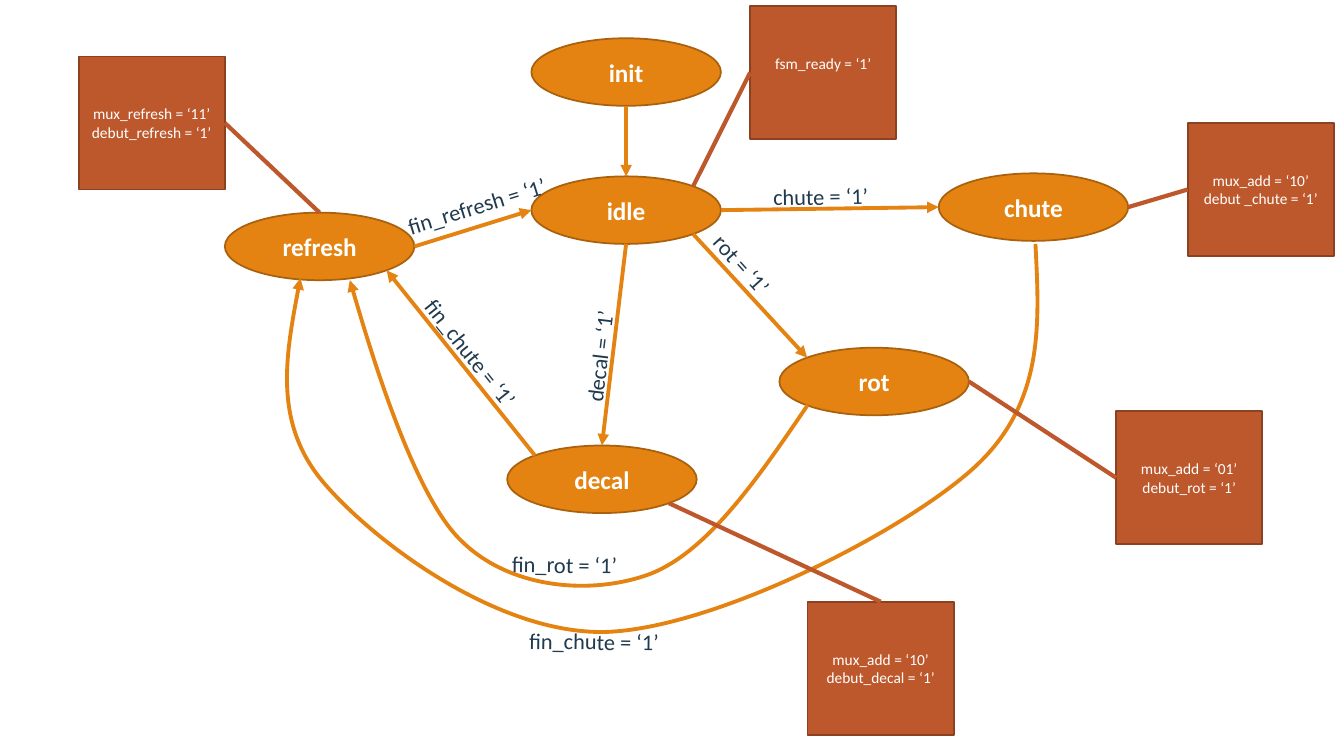
from dataclasses import dataclass
from math import sqrt

from lxml import etree
from pptx import Presentation
from pptx.dml.color import RGBColor
from pptx.enum.shapes import MSO_CONNECTOR, MSO_SHAPE
from pptx.enum.text import MSO_ANCHOR, MSO_AUTO_SIZE, PP_ALIGN
from pptx.oxml.ns import qn
from pptx.util import Inches, Pt

OVAL, RECT = MSO_SHAPE.OVAL, MSO_SHAPE.RECTANGLE
STRAIGHT = MSO_CONNECTOR.STRAIGHT
MIDDLE, GROW = MSO_ANCHOR.MIDDLE, MSO_AUTO_SIZE.SHAPE_TO_FIT_TEXT
LEFT, CENTER = PP_ALIGN.LEFT, PP_ALIGN.CENTER

ORANGE, BROWN = "E48312", "A9610D"
RUST, DARK = "BD582C", "8C4121"
WHITE, NAVY = "FFFFFF", "203A4E"
SIDES = {"n": (0, -1), "s": (0, 1), "w": (-1, 0), "e": (1, 0),
         "ne": (1, -1), "nw": (-1, -1), "se": (1, 1), "sw": (-1, 1)}


@dataclass
class State:
    name: str
    left: float
    top: float
    wide: float = 1.88
    high: float = 0.67


@dataclass
class Action:
    lines: list[str]
    left: float
    top: float
    state: str
    side: str
    edge: str
    foot: float = 0.05
    wide: float = 1.45
    high: float = 1.32


@dataclass
class Label:
    text: str
    left: float
    top: float
    wide: float
    turn: float
    high: float = 0.37


STATES = {s.name: s for s in (
    State("init", 5.27, 0.38), State("idle", 5.27, 1.75),
    State("decal", 5.03, 4.42), State("rot", 7.73, 3.45),
    State("chute", 9.31, 1.72), State("refresh", 2.23, 2.11))}

MOVES = [("init", "s", "idle", "n"), ("idle", "s", "decal", "n"),
         ("idle", "se", "rot", "nw"), ("idle", "e", "chute", "w"),
         ("decal", "nw", "refresh", "se"), ("refresh", "e", "idle", "w")]

CURVES = [
    [(8.01, 4.02), (7.52, 4.74), (7.03, 5.46), (6.46, 5.69),
     (5.88, 5.91), (5.06, 5.85), (4.57, 5.36),
     (4.07, 4.88), (3.47, 2.78), (3.47, 2.78)],
    [(10.27, 2.42), (10.31, 3.22), (10.36, 4.01), (9.65, 4.65),
     (8.94, 5.29), (7.07, 6.24), (6, 6.27),
     (4.93, 6.29), (3.72, 5.38), (3.22, 4.8),
     (2.71, 4.21), (2.84, 3.48), (2.98, 2.76)]]

LABELS = [Label("chute = ‘1’", 7.57, 1.76, 1.44, 359),
          Label("rot = ‘1’", 6.82, 2.64, 1.44, 48),
          Label("decal = ‘1’", 5.12, 3.04, 1.73, 276.9),
          Label("fin_chute = ‘1’", 3.91, 3.35, 1.57, 51.4),
          Label("fin_rot = ‘1’", 4.98, 5.42, 1.73, 0.9),
          Label("fin_chute = ‘1’", 5.15, 6.18, 1.73, 0.9),
          Label("fin_refresh = ‘1’", 3.92, 1.84, 1.73, 342.9)]

ACTIONS = [
    Action(["mux_refresh = ‘11’", "debut_refresh = ‘1’"], 0.78, 0.56, "refresh", "n", "e"),
    Action(["fsm_ready = ‘1’"], 7.44, 0.06, "idle", "ne", "w", foot=0.23),
    Action(["mux_add = ‘10’", "debut _chute = ‘1’"], 11.78, 1.22, "chute", "e", "w"),
    Action(["mux_add = ‘01’", "debut_rot = ‘1’"], 11.07, 4.08, "rot", "e", "w"),
    Action(["mux_add = ‘10’", "debut_decal = ‘1’"], 8.01, 5.97, "decal", "se", "n")]


def color(code: str) -> RGBColor:
    return RGBColor.from_string(code)


def frame(item: State | Action | Label) -> list[int]:
    return [Inches(n) for n in (item.left, item.top, item.wide, item.high)]


def point(item: State | Action, side: str) -> tuple[int, int]:
    dx, dy = SIDES[side]
    reach = 2 * sqrt(dx * dx + dy * dy)
    return (Inches(item.left + item.wide * (0.5 + dx / reach)),
            Inches(item.top + item.high * (0.5 + dy / reach)))


def write(shape, lines: list[str], *, size: float, tint: str,
          bold: bool = False, align=CENTER) -> None:
    body = shape.text_frame
    body.word_wrap = True
    for i, line in enumerate(lines):
        para = body.add_paragraph() if i else body.paragraphs[0]
        para.alignment = align
        run = para.add_run()
        run.text = line
        run.font.name = "Calibri"
        run.font.size = Pt(size)
        run.font.bold = bold
        run.font.color.rgb = color(tint)


def stroke(shape, tint: str, width: float, arrow: bool = False) -> None:
    shape.line.color.rgb = color(tint)
    shape.line.width = Pt(width)
    if arrow:
        line = shape.line._get_or_add_ln()
        etree.SubElement(line, qn("a:tailEnd"), type="triangle")


def block(slide, kind, item: State | Action, fill: str, edge: str):
    shape = slide.shapes.add_shape(kind, *frame(item))
    shape.shadow.inherit = False
    shape.fill.solid()
    shape.fill.fore_color.rgb = color(fill)
    stroke(shape, edge, 1.25)
    shape.text_frame.vertical_anchor = MIDDLE
    return shape


def link(slide, start: tuple[int, int], end: tuple[int, int], tint: str,
         width: float, arrow: bool = False) -> None:
    line = slide.shapes.add_connector(STRAIGHT, *start, *end)
    stroke(line, tint, width, arrow)
    etree.SubElement(line._element.spPr, qn("a:effectLst"))


def curve(slide, points: list[tuple[float, float]]) -> None:
    first, *rest = [(Inches(x), Inches(y)) for x, y in points]
    form = slide.shapes.build_freeform(*first)
    form.add_line_segments(rest, close=False)
    shape = form.convert_to_shape()
    shape.shadow.inherit = False
    shape.fill.background()
    stroke(shape, ORANGE, 2.75, True)
    legs = list(shape._element.iter(qn("a:lnTo")))
    for i in range(0, len(legs), 3):
        bend = etree.Element(qn("a:cubicBezTo"))
        legs[i].addprevious(bend)
        for leg in legs[i:i + 3]:
            bend.append(leg[0])
            leg.getparent().remove(leg)


def main() -> None:
    deck = Presentation()
    deck.slide_width, deck.slide_height = Inches(13.33), Inches(7.5)
    slide = deck.slides.add_slide(deck.slide_layouts[6])
    for state in STATES.values():
        oval = block(slide, OVAL, state, ORANGE, BROWN)
        write(oval, [state.name], size=18, tint=WHITE, bold=True)
    for start, out, end, into in MOVES:
        link(slide, point(STATES[start], out), point(STATES[end], into),
             ORANGE, 2.75, True)
    for points in CURVES:
        curve(slide, points)
    for label in LABELS:
        box = slide.shapes.add_textbox(*frame(label))
        box.rotation = label.turn
        write(box, [label.text], size=16, tint=NAVY, align=LEFT)
        box.text_frame.auto_size = GROW
    for act in ACTIONS:
        box = block(slide, RECT, act, RUST, DARK)
        box.text_frame.margin_bottom = Inches(act.foot)
        write(box, act.lines, size=11, tint=WHITE)
    for act in ACTIONS:
        link(slide, point(act, act.edge), point(STATES[act.state], act.side), RUST, 3)
    deck.save("out.pptx")


main()
